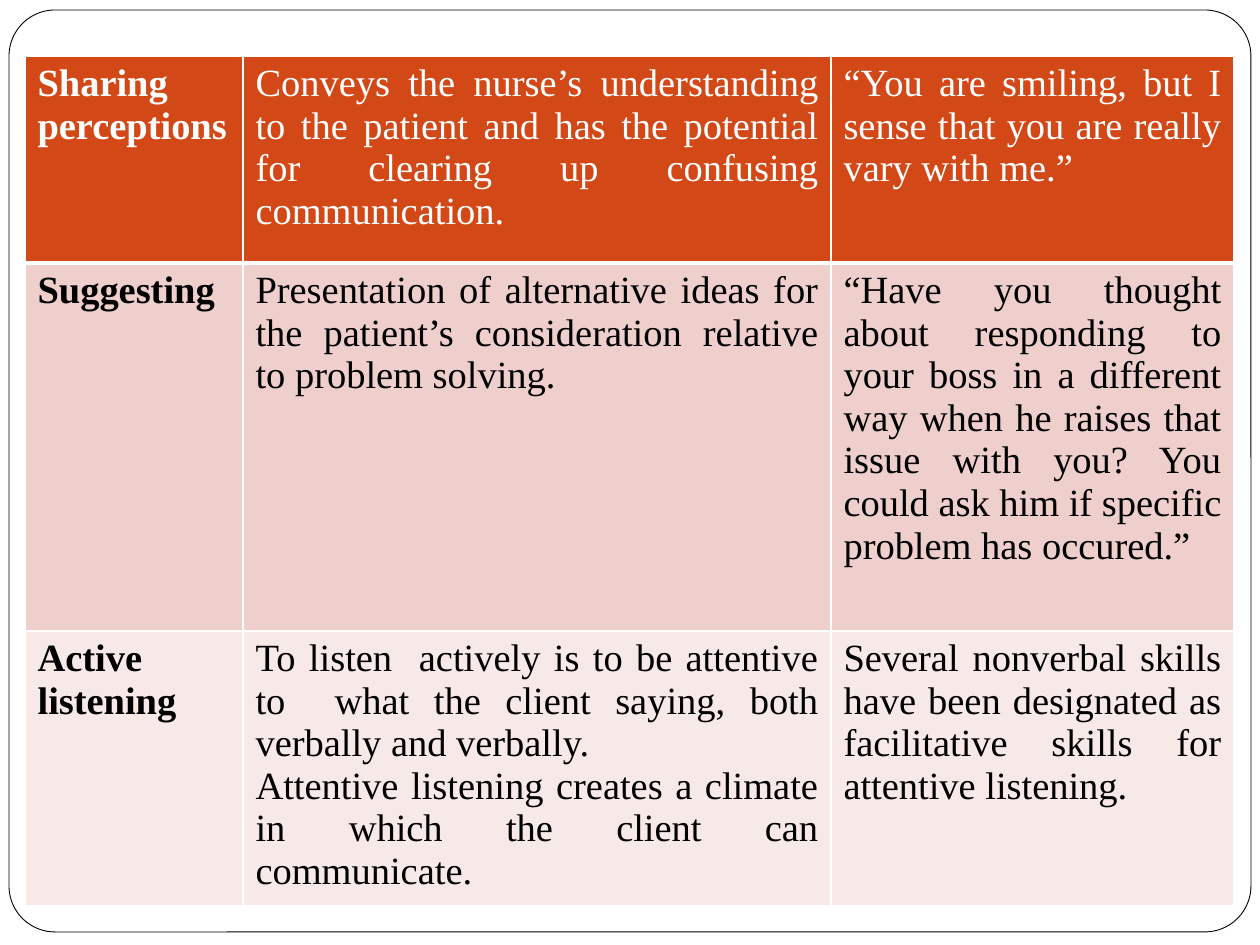
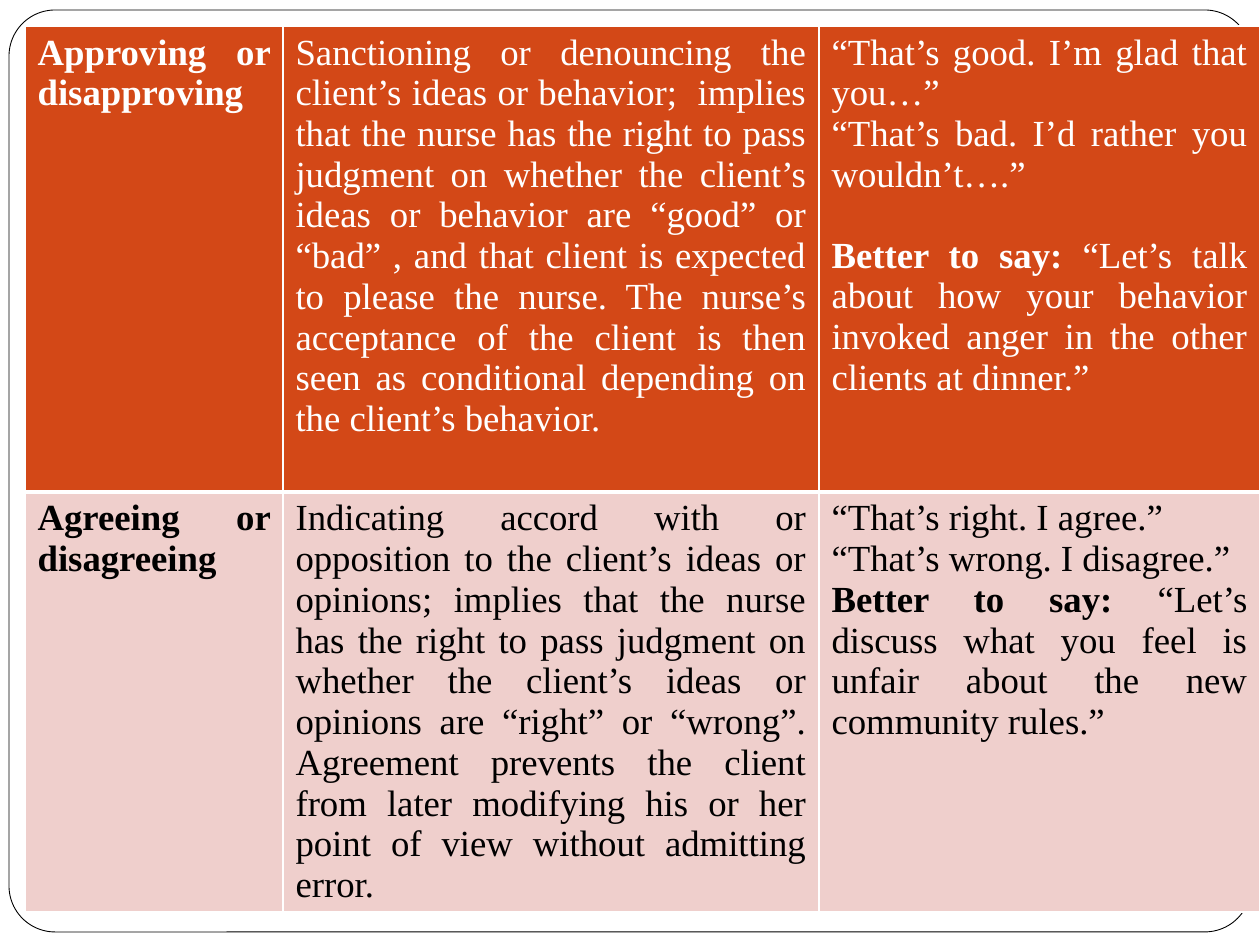
from lxml.etree import SubElement
from pptx import Presentation
from pptx.dml.color import RGBColor
from pptx.enum.shapes import MSO_SHAPE
from pptx.enum.text import PP_ALIGN
from pptx.oxml.ns import qn
from pptx.util import Emu, Pt

EMU_PER_PX = 914400 / 126
SLIDE_WIDTH, SLIDE_HEIGHT = 1260, 945
LEAD_IN = "Better to say: "


def px(length):
    return Emu(round(length * EMU_PER_PX))


def color(hex_string):
    return RGBColor.from_string(hex_string)


def write_text(paragraph, text, *, font, size, ink, bold=False):
    run = paragraph.add_run()
    run.text = text
    run.font.name = font
    run.font.size = Pt(size)
    run.font.bold = bold
    run.font.color.rgb = color(ink)


def add_border(cell, side, width, hex_string):
    properties = cell._tc.get_or_add_tcPr()
    line = SubElement(properties, qn(f"a:ln{side}"), w=str(Pt(width)))
    fill = SubElement(line, qn("a:solidFill"))
    SubElement(fill, qn("a:srgbClr"), val=hex_string)


class Deck:
    """Holds the shared style and the slide being built."""

    font = "Times New Roman"
    white, black = "FFFFFF", "000000"
    row_fills = ("D34817", "EFCFCC", "F7E9E8")
    thin, thick = 1, 3

    def __init__(self):
        self.presentation = Presentation()
        self.presentation.slide_width = px(SLIDE_WIDTH)
        self.presentation.slide_height = px(SLIDE_HEIGHT)
        self.slide = None

    def add_slide(self):
        blank = self.presentation.slide_layouts[6]
        self.slide = self.presentation.slides.add_slide(blank)
        self.add_frame()

    def add_frame(self):
        frame = self.slide.shapes.add_shape(
            MSO_SHAPE.ROUNDED_RECTANGLE, px(9), px(10), px(1242), px(922))
        frame.adjustments[0] = 0.05
        frame.shadow.inherit = False
        frame.fill.solid()
        frame.fill.fore_color.rgb = color(self.white)
        frame.line.color.rgb = color(self.black)
        frame.line.width = Pt(0.5)

    def add_table(self, left, top, widths, heights, rows, size):
        table = self.slide.shapes.add_table(
            len(rows), len(widths), px(left), px(top),
            px(sum(widths)), px(sum(heights))).table
        table.horz_banding = False
        for column, width in zip(table.columns, widths):
            column.width = px(width)
        for row, height in zip(table.rows, heights):
            row.height = px(height)
        for row_index, contents in enumerate(rows):
            for column_index, content in enumerate(contents):
                cell = table.cell(row_index, column_index)
                self.style_cell(cell, row_index)
                self.fill_cell(cell, content, size,
                               ink=self.black if row_index else self.white,
                               bold=column_index == 0)

    def style_cell(self, cell, row_index):
        # The rule under the heading row is thicker than the others
        top = self.thick if row_index == 1 else self.thin
        bottom = self.thick if row_index == 0 else self.thin
        for side, width in zip("LRTB", (self.thin, self.thin, top, bottom)):
            add_border(cell, side, width, self.white)
        cell.fill.solid()
        cell.fill.fore_color.rgb = color(self.row_fills[row_index])

    def fill_cell(self, cell, content, size, ink, bold):
        for index, text in enumerate(content.split("\n")):
            frame = cell.text_frame
            paragraph = frame.add_paragraph() if index else frame.paragraphs[0]
            paragraph.alignment = PP_ALIGN.JUSTIFY
            style = {"font": self.font, "size": size, "ink": ink}
            if text.startswith(LEAD_IN):
                # In the heading row the advice stands one line apart
                if ink == self.white:
                    paragraph.space_before = Pt(size + 2)
                write_text(paragraph, LEAD_IN, bold=True, **style)
                text = text.removeprefix(LEAD_IN)
            write_text(paragraph, text, bold=bold, **style)


HELPFUL_TECHNIQUES = [
    ("Sharing perceptions",
     "Conveys the nurse’s understanding to the patient and has the potential "
     "for clearing up confusing communication.",
     "“You are smiling, but I sense that you are really vary with me.”"),
    ("Suggesting",
     "Presentation of alternative ideas for the patient’s consideration "
     "relative to problem solving.",
     "“Have you thought about responding to your boss in a different way when "
     "he raises that issue with you? You could ask him if specific problem "
     "has occured.”"),
    ("Active listening",
     "To listen  actively is to be attentive to  what the client saying, both "
     "verbally and verbally.\n"
     "Attentive listening creates a climate in which the client can "
     "communicate.",
     "Several nonverbal skills have been designated as facilitative skills "
     "for attentive listening."),
]

UNHELPFUL_TECHNIQUES = [
    ("Approving  or disapproving",
     "Sanctioning or denouncing the client’s ideas or behavior;  implies that "
     "the nurse has the right to pass judgment on whether the client’s ideas "
     "or behavior are “good” or “bad” , and that client is expected to please "
     "the nurse. The nurse’s acceptance of the client is then seen as "
     "conditional depending on the client’s behavior.",
     "“That’s good. I’m glad that you…”\n"
     "“That’s bad. I’d rather you wouldn’t….”\n"
     f"{LEAD_IN}“Let’s talk about how your behavior invoked anger in the "
     "other clients at dinner.”"),
    ("Agreeing or disagreeing",
     "Indicating accord with or opposition to the client’s ideas or opinions; "
     "implies that the nurse has the right to pass judgment on whether the "
     "client’s ideas or opinions are “right” or “wrong”. Agreement prevents "
     "the client from later modifying his or her point of view without "
     "admitting error.",
     "“That’s right. I agree.”\n"
     "“That’s wrong. I disagree.”\n"
     f"{LEAD_IN}“Let’s discuss what you feel is unfair about the new "
     "community rules.”"),
]


def main():
    deck = Deck()

    # Slide 1: techniques that help
    deck.add_slide()
    deck.add_table(25, 56, (218, 588, 403), (207, 368, 275),
                   HELPFUL_TECHNIQUES, size=22)

    # Slide 2: techniques to avoid
    deck.add_slide()
    deck.add_table(25, 26, (258, 536, 441), (466, 420),
                   UNHELPFUL_TECHNIQUES, size=21)

    deck.presentation.save("out.pptx")


if __name__ == "__main__":
    main()
